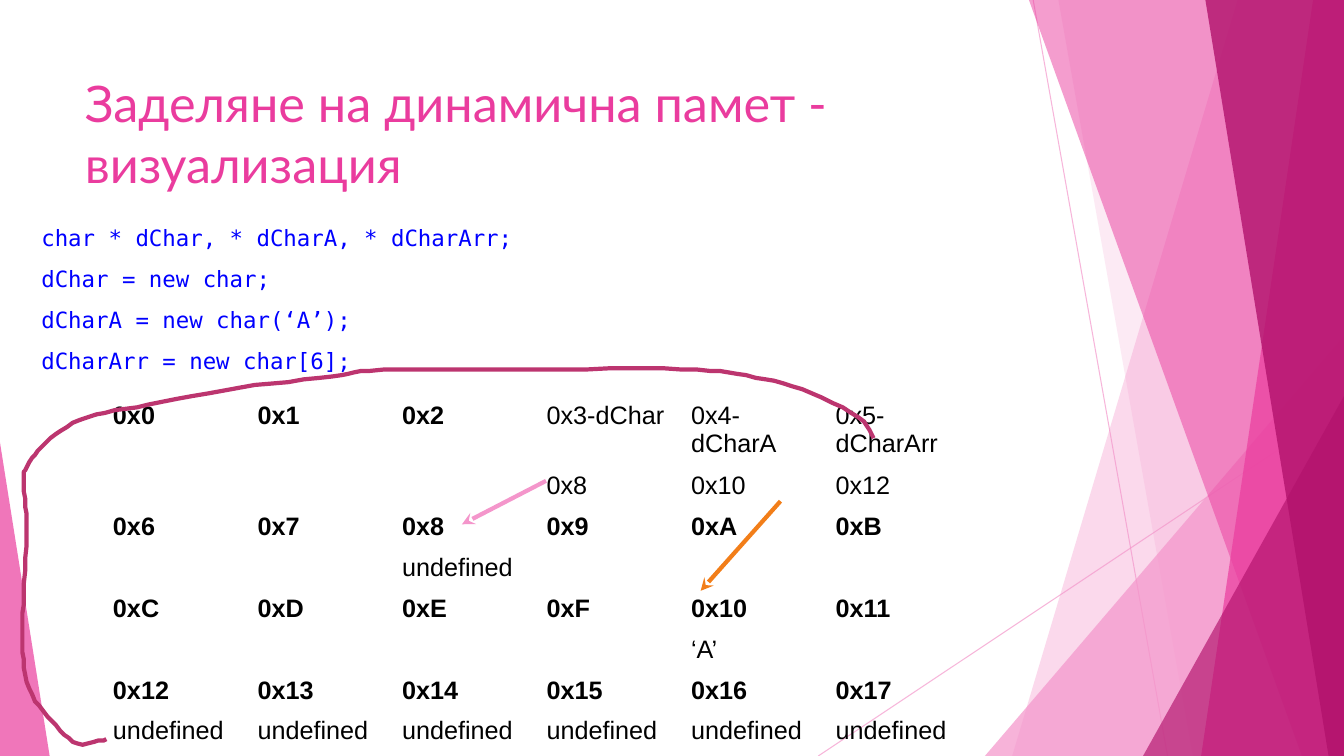
"""Build the slide on dynamic memory allocation with its memory map."""
from lxml.etree import SubElement
from pptx import Presentation
from pptx.dml.color import RGBColor
from pptx.enum.shapes import MSO_CONNECTOR as LINK, MSO_SHAPE as SHAPE
from pptx.oxml.ns import qn
from pptx.util import Pt

HUES = {"light": "F496CB", "pink": "EA3C9E", "deep": "B2126C", "code": "0000FF",
        "text": "000000", "orange": "F27E19", "curve": "BC356F"}
WIDE, HIGH = 960, 540


def paint(fill, hue, alpha=100):
    fill.solid()
    fill.fore_color.rgb = RGBColor.from_string(HUES[hue])
    if alpha < 100:
        clr = fill._xPr.find(qn("a:solidFill"))[0]
        SubElement(clr, qn("a:alpha"), val=str(alpha * 1000))


def style(para, face, size, hue, bold=False):
    for run in para.runs:
        run.font.name = face
        run.font.size = Pt(size)
        run.font.bold = bold
        run.font.color.rgb = RGBColor.from_string(HUES[hue])


deck = Presentation()
deck.slide_width, deck.slide_height = Pt(WIDE), Pt(HIGH)
slide = deck.slides.add_slide(deck.slide_layouts[6])
shapes = slide.shapes

rays = [(738, 0, 834, HIGH), (WIDE, 290, 584.5, HIGH)]
for ends in rays:
    ray = shapes.add_connector(LINK.STRAIGHT, *map(Pt, ends))
    ray.line.width = Pt(0.75)
    paint(ray.line.fill, "light", 70)
    SubElement(ray._element.spPr, qn("a:effectLst"))

facets = [
    ("band", (884, 723), "light", 36),
    ("band", (756, 852), "light", 20),
    ("right", (703.5, 240, WIDE), "light", 72),
    ("band", (735, 929.5), "pink", 50),
    ("band", (938, 858), "pink", 70),
    ("band", (861, 949), "deep", 80),
    ("right", (816.5, 283, WIDE), "deep", 66),
    ("left", (0, 316, 35.5), "pink", 70),
]
for kind, edge, hue, alpha in facets:
    if kind == "band":
        head, foot = edge
        pen = shapes.build_freeform(head, 0, scale=Pt(1))
        pen.add_line_segments([(WIDE, 0), (WIDE, HIGH), (foot, HIGH)], close=True)
        facet = pen.convert_to_shape()
    else:
        left, top, right = edge
        facet = shapes.add_shape(SHAPE.ISOSCELES_TRIANGLE, Pt(left), Pt(top),
                                 Pt(right - left), Pt(HIGH - top))
        facet.adjustments[0] = 1 if kind == "right" else 0
    facet.shadow.inherit = False
    facet.line.fill.background()
    paint(facet.fill, hue, alpha)

title = shapes.add_textbox(Pt(53.5), Pt(48), Pt(677), Pt(104)).text_frame
title.word_wrap = True
title.text = "Заделяне на динамична памет - визуализация"
style(title.paragraphs[0], "Lato", 36, "pink")

code = shapes.add_textbox(Pt(-13.5), Pt(156.5), Pt(931), Pt(419)).text_frame
code.word_wrap = True
code.text = "\n".join(["char * dChar, * dCharA, * dCharArr;", "dChar = new char;",
                       "dCharA = new char(‘A’);", "dCharArr = new char[6];"])
for num, para in enumerate(code.paragraphs):
    para._p.get_or_add_pPr().set("marL", str(Pt(36)))
    para.space_before = Pt(10 if num else 0)
    style(para, "DejaVu Sans Mono", 16, "code")

COLS, BYTES = 6, 24
ROWS = BYTES // COLS * 2
COL, LAST, ROW = 103.25, 114.5, 29.2
names = {3: "dChar", 4: "dCharA", 5: "dCharArr"}
values = {3: "0x8", 4: "0x10", 5: "0x12", 0x8: "undefined", 0x10: "‘A’"}
values.update({byte: "undefined" for byte in range(0x12, BYTES)})
grid = shapes.add_table(ROWS, COLS, Pt(73.5), Pt(283),
                        Pt(COL * (COLS - 1) + LAST), Pt(ROW * ROWS)).table
grid.first_row = grid.horz_banding = False
grid._tbl.tblPr[0].text = "{2D5ABB26-0587-4C30-8999-92F81FD0307C}"
for column in grid.columns:
    column.width = Pt(COL)
grid.columns[COLS - 1].width = Pt(LAST)
for byte in range(BYTES):
    row, col = byte // COLS * 2, byte % COLS
    label = f"0x{byte:X}"
    if byte in names:
        label += "-" + names[byte]
    pair = [(label, byte not in names), (values.get(byte, ""), False)]
    for step, (text, bold) in enumerate(pair):
        cell = grid.cell(row + step, col)
        cell.fill.background()
        cell.text = text
        style(cell.text_frame.paragraphs[0], "Arial", 18, "text", bold)

arrows = [((390, 343.5, 330, 374.5), "light"), ((557.5, 358, 500.5, 422), "orange")]
for ends, hue in arrows:
    arrow = shapes.add_connector(LINK.STRAIGHT, *map(Pt, ends))
    arrow.line.width = Pt(3)
    paint(arrow.line.fill, hue)
    SubElement(arrow.line._get_or_add_ln(), qn("a:tailEnd"), type="stealth")
    SubElement(arrow._element.spPr, qn("a:effectLst"))

knots = [(623.5, 313), (613, 298), (573, 278), (533, 268.5), (487, 263.5),
         (380, 264), (274, 264), (237, 269), (171, 277), (106.5, 289), (63, 298),
         (36, 313), (21, 330), (17, 343), (19, 374), (17, 425), (16, 460),
         (21, 492), (37, 515), (55, 531), (76, 528)]
padded = [knots[0], *knots, knots[-1]]
STEPS = 6
trail = []
for quad in zip(padded, padded[1:], padded[2:], padded[3:]):
    for step in range(1, STEPS + 1):
        t = step / STEPS
        weights = [(-t + 2 * t**2 - t**3) / 2, (2 - 5 * t**2 + 3 * t**3) / 2,
                   (t + 4 * t**2 - 3 * t**3) / 2, (t**3 - t**2) / 2]
        trail.append([sum(w * v for w, v in zip(weights, axis)) for axis in zip(*quad)])
pen = shapes.build_freeform(*knots[0], scale=Pt(1))
pen.add_line_segments(trail, close=False)
curve = pen.convert_to_shape()
curve.shadow.inherit = False
curve.fill.background()
curve.line.width = Pt(3)
paint(curve.line.fill, "curve")

deck.save("out.pptx")
